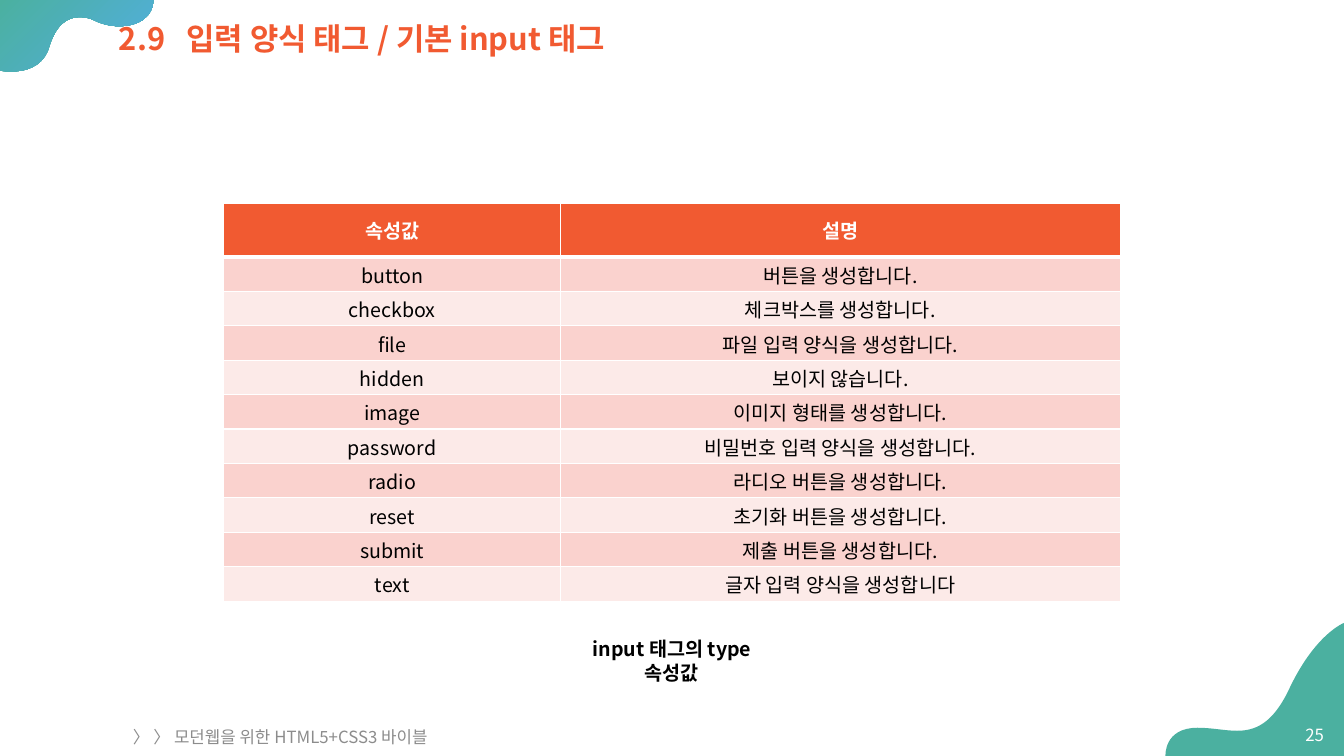
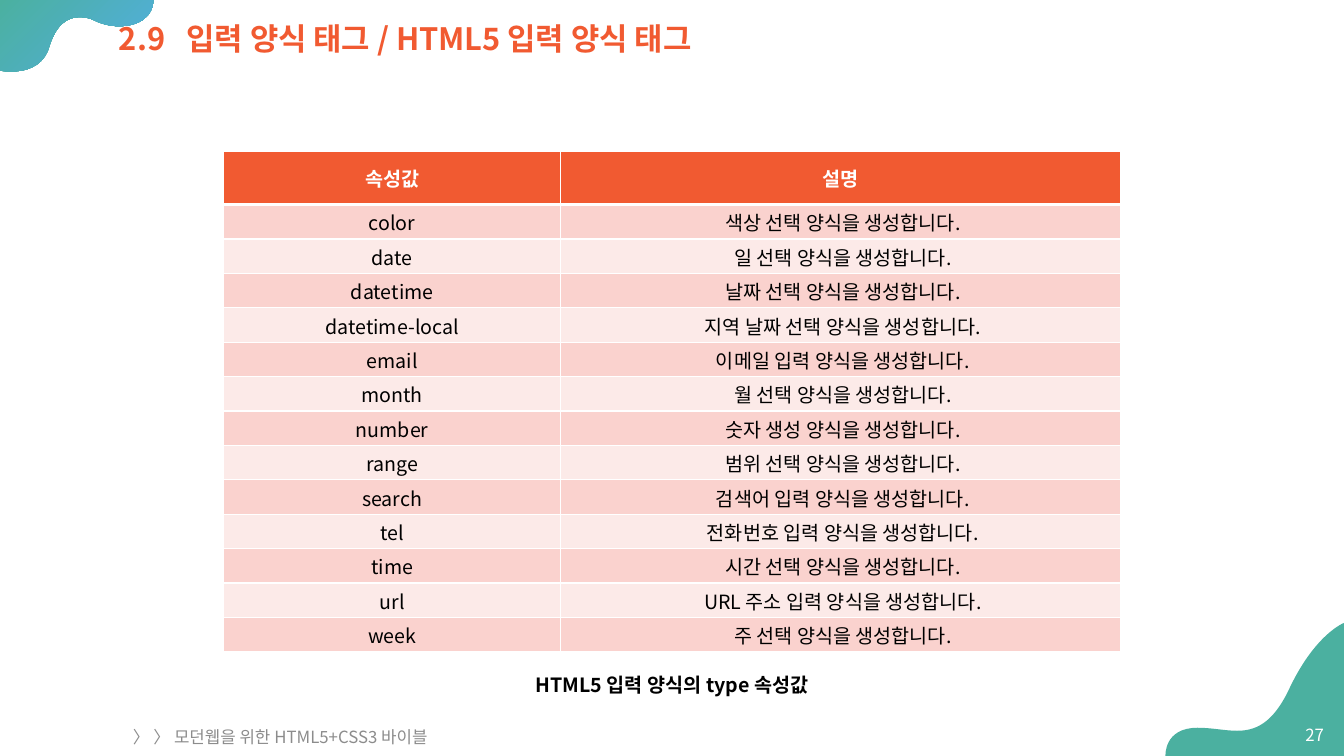
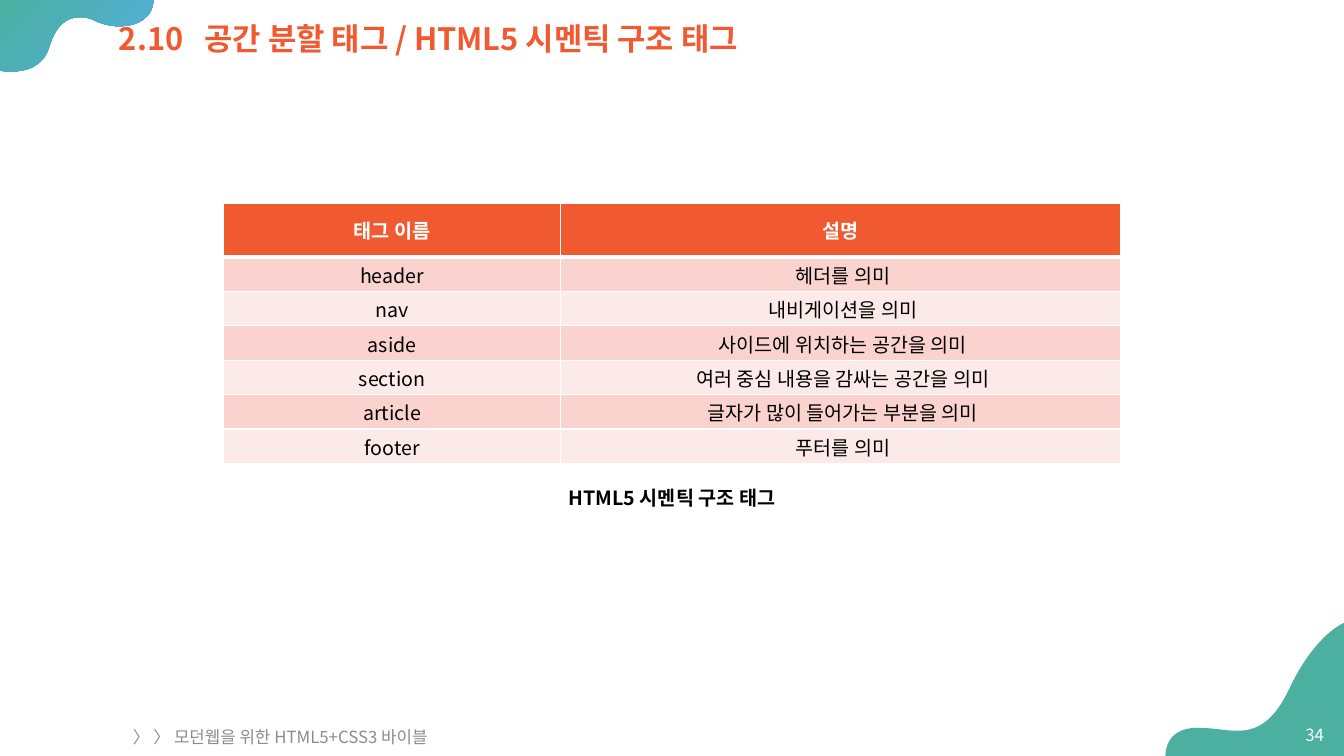
"""Builds three slides of tag reference tables from an HTML5 and CSS3 course."""
import pptx
import pptx.dml.color
import pptx.enum.text
import pptx.oxml
import pptx.oxml.ns
import pptx.util

SLIDES = [
    {
        "number": "2.9", "title": "입력 양식 태그 / 기본 input 태그", "page": 25,
        "top": 2.02, "indent": 0, "caption": ("input 태그의 type 속성값", 6.27, 2.34),
        "rows": [
            ("속성값", "설명"),
            ("button", "버튼을 생성합니다."),
            ("checkbox", "체크박스를 생성합니다."),
            ("file", "파일 입력 양식을 생성합니다."),
            ("hidden", "보이지 않습니다."),
            ("image", "이미지 형태를 생성합니다."),
            ("password", "비밀번호 입력 양식을 생성합니다."),
            ("radio", "라디오 버튼을 생성합니다."),
            ("reset", "초기화 버튼을 생성합니다."),
            ("submit", "제출 버튼을 생성합니다."),
            ("text", "글자 입력 양식을 생성합니다"),
        ],
    },
    {
        "number": "2.9", "title": "입력 양식 태그 / HTML5 입력 양식 태그", "page": 27,
        "top": 1.5, "indent": 0.05, "caption": ("HTML5 입력 양식의 type 속성값", 6.63, 2.93),
        "rows": [
            ("속성값", "설명"),
            ("color", "색상 선택 양식을 생성합니다."),
            ("date", "일 선택 양식을 생성합니다."),
            ("datetime", "날짜 선택 양식을 생성합니다."),
            ("datetime-local", "지역 날짜 선택 양식을 생성합니다."),
            ("email", "이메일 입력 양식을 생성합니다."),
            ("month", "월 선택 양식을 생성합니다."),
            ("number", "숫자 생성 양식을 생성합니다."),
            ("range", "범위 선택 양식을 생성합니다."),
            ("search", "검색어 입력 양식을 생성합니다."),
            ("tel", "전화번호 입력 양식을 생성합니다."),
            ("time", "시간 선택 양식을 생성합니다."),
            ("url", "URL 주소 입력 양식을 생성합니다."),
            ("week", "주 선택 양식을 생성합니다."),
        ],
    },
    {
        "number": "2.10", "title": "공간 분할 태그 / HTML5 시멘틱 구조 태그", "page": 34,
        "top": 2.02, "indent": 0.05, "caption": ("HTML5 시멘틱 구조 태그", 4.77, 2.34),
        "rows": [
            ("태그 이름", "설명"),
            ("header", "헤더를 의미"),
            ("nav", "내비게이션을 의미"),
            ("aside", "사이드에 위치하는 공간을 의미"),
            ("section", "여러 중심 내용을 감싸는 공간을 의미"),
            ("article", "글자가 많이 들어가는 부분을 의미"),
            ("footer", "푸터를 의미"),
        ],
    },
]
FOOTER = "〉 〉 모던웹을 위한 HTML5+CSS3 바이블"

W, H = 13.33, 7.5
FONT = "Noto Sans CJK KR"
ORANGE, PINK, PALE = "F15A31", "FAD2CE", "FCEAE8"
TEAL, BLUE = "4BB0A0", "52AEE1"
WHITE, BLACK, GRAY = "FFFFFF", "000000", "8C8C8C"
HEAD_ROW, BODY_ROW = 0.53, 4.44 / 13
COLUMNS = (3.34, 5.55)

TOP_WAVE = [
    (1.52, 0), (0, 0), (0, 0.7),
    (0, 0.7, 0.04, 0.71, 0.11, 0.71),
    (0.24, 0.71, 0.43, 0.67, 0.49, 0.46),
    (0.56, 0.23, 0.68, 0.17, 0.79, 0.17),
    (0.84, 0.17, 0.89, 0.18, 0.93, 0.2),
    (1.01, 0.24, 1.1, 0.26, 1.18, 0.26),
    (1.37, 0.26, 1.52, 0.17, 1.52, 0),
]
BOTTOM_WAVE = [
    (W, 6.18),
    (W, 6.18, 13.04, 6.29, 12.78, 6.85),
    (12.62, 7.18, 12.45, 7.25, 12.27, 7.25),
    (12.15, 7.25, 12.02, 7.22, 11.88, 7.22),
    (11.54, 7.22, 11.56, H, 11.56, H),
    (W, H),
]

Inches, Pt = pptx.util.Inches, pptx.util.Pt
PP_ALIGN, MSO_ANCHOR = pptx.enum.text.PP_ALIGN, pptx.enum.text.MSO_ANCHOR
MSO_AUTO_SIZE = pptx.enum.text.MSO_AUTO_SIZE
qn = pptx.oxml.ns.qn


def rgb(color):
    return pptx.dml.color.RGBColor.from_string(color)


def add_xml(parent, tag, **attributes):
    child = parent.makeelement(qn(tag), attributes)
    parent.append(child)
    return child


def write(tf, text, size=14, color=BLACK, bold=False, align=PP_ALIGN.CENTER, tab=None):
    p = tf.paragraphs[0]
    p.alignment = align
    if tab:
        stops = add_xml(p._p.get_or_add_pPr(), "a:tabLst")
        add_xml(stops, "a:tab", pos=str(Inches(tab)), algn="l")
    r = p.add_run()
    r.text = text
    r.font.size, r.font.bold, r.font.name = Pt(size), bold, FONT
    r.font.color.rgb = rgb(color)
    rPr = r._r.get_or_add_rPr()
    rPr.set("kern", "0")
    add_xml(rPr, "a:ea", typeface=FONT)
    return p


def add_label(s, text, box, anchor=MSO_ANCHOR.MIDDLE, grow=False, **style):
    tf = s.shapes.add_textbox(*map(Inches, box)).text_frame
    tf.word_wrap, tf.vertical_anchor = True, anchor
    tf.auto_size = MSO_AUTO_SIZE.SHAPE_TO_FIT_TEXT if grow else MSO_AUTO_SIZE.NONE
    write(tf, text, **style)


def bend(sp, outline, units):
    left, top = (min(point[axis] for point in outline) for axis in (-2, -1))
    lines = sp.element.xpath(".//a:lnTo")
    for line, segment in zip(lines, outline[1:]):
        if len(segment) == 2:
            continue
        line.tag = qn("a:cubicBezTo")
        end = line[0]
        for x, y in (segment[:2], segment[2:4]):
            end.addprevious(line.makeelement(qn("a:pt"), {
                "x": str(round((x - left) * units)), "y": str(round((y - top) * units))}))


def add_wave(s, outline, colors, units=1000):
    start, *ends = [(point[-2] * units, point[-1] * units) for point in outline]
    builder = s.shapes.build_freeform(*start, scale=Inches(1) / units)
    builder.add_line_segments(ends, close=True)
    sp = builder.convert_to_shape()
    bend(sp, outline, units)
    sp.shadow.inherit = False
    sp.line.fill.background()
    if len(colors) > 1:
        sp.fill.gradient()
        sp.fill.gradient_angle = 315
        for stop, color in zip(sp.fill.gradient_stops, colors):
            stop.color.rgb = rgb(color)
    else:
        sp.fill.solid()
        sp.fill.fore_color.rgb = rgb(colors[0])


def style_layout(layout):
    for sp in list(layout.placeholders)[1:]:
        sp.element.getparent().remove(sp.element)
    sp = layout.placeholders[0]
    sp.left, sp.top, sp.width, sp.height = map(Inches, (1.08, 0.19, W - 1.08, 0.43))
    sp.text_frame.vertical_anchor = MSO_ANCHOR.MIDDLE
    sp.text_frame.auto_size = MSO_AUTO_SIZE.NONE


def style_cell(cell, text, row, indent):
    head = row == 0
    tcPr = cell._tc.get_or_add_tcPr()
    for side in "LRTB":
        thick = (head and side == "B") or (row == 1 and side == "T")
        ln = add_xml(tcPr, "a:ln" + side, w=str(Pt(3 if thick else 1)))
        add_xml(add_xml(ln, "a:solidFill"), "a:srgbClr", val=WHITE)
    cell.fill.solid()
    cell.fill.fore_color.rgb = rgb(ORANGE if head else PINK if row % 2 else PALE)
    cell.vertical_anchor = MSO_ANCHOR.MIDDLE
    if not head:
        cell.margin_right = cell.margin_top = Inches(0.01)
        cell.margin_left = Inches(0.01 + indent)
        cell.margin_bottom = 0
    write(cell.text_frame, text, color=WHITE if head else BLACK, bold=head)


def add_tag_table(s, rows, top, indent):
    heights = [HEAD_ROW] + [BODY_ROW] * (len(rows) - 1)
    width = sum(COLUMNS)
    box = map(Inches, ((W - width) / 2, top, width, sum(heights)))
    table = s.shapes.add_table(len(rows), len(COLUMNS), *box).table
    for column, column_width in zip(table.columns, COLUMNS):
        column.width = Inches(column_width)
    for i, (texts, height) in enumerate(zip(rows, heights)):
        table.rows[i].height = Inches(height)
        for j, text in enumerate(texts):
            style_cell(table.cell(i, j), text, i, indent * j)


def add_slide(prs, layout, content):
    s = prs.slides.add_slide(layout)
    add_wave(s, TOP_WAVE, (TEAL, BLUE))
    add_wave(s, BOTTOM_WAVE, (TEAL,))
    title, number = s.shapes.title, content["number"]
    s.shapes.element.append(title.element)
    p = write(title.text_frame, number + "\t" + content["title"], size=22,
              color=ORANGE, bold=True, align=PP_ALIGN.LEFT, tab=0.13 + 0.18 * len(number))
    p.line_spacing = 0.9
    add_tag_table(s, content["rows"], content["top"], content["indent"])
    caption, top, width = content["caption"]
    add_label(s, caption, ((W - width) / 2, top, width, 0.34),
              anchor=MSO_ANCHOR.TOP, grow=True, bold=True)
    add_label(s, str(content["page"]), (12.79, 7.09, 0.44, 0.4),
              size=12, color=WHITE, align=PP_ALIGN.RIGHT)
    add_label(s, FOOTER, (0.53, 7.19, 4.5, 0.24), size=12, color=GRAY)


def main():
    prs = pptx.Presentation()
    prs.slide_width, prs.slide_height = Inches(W), Inches(H)
    layout = prs.slide_layouts[5]
    style_layout(layout)
    for content in SLIDES:
        add_slide(prs, layout, content)
    prs.save("out.pptx")


if __name__ == "__main__":
    main()
